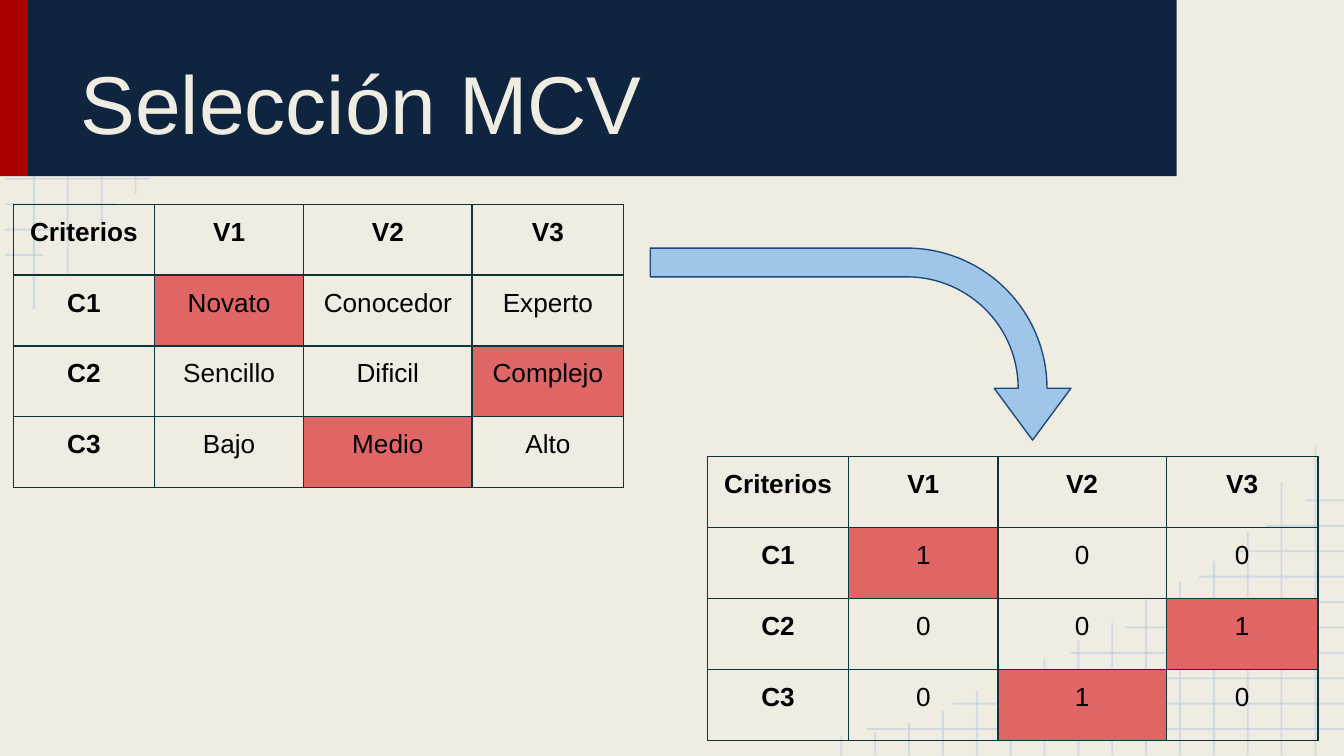
from lxml import etree
from pptx import Presentation
from pptx import util as u
from pptx.dml.color import RGBColor
from pptx.enum import shapes, text
from pptx.oxml import ns

COLORS = {
    "paper": "EFEDE2", "navy": "0F243E", "red": "AB0101", "grid": "B7CCE4",
    "border": "0C343D", "chosen": "E06666", "ink": "000000",
    "arrow": "9FC5E8", "arrow_edge": "1F497D",
}


class SlideBuilder:
    font = "Arial"
    inset = u.Cm(0.25)

    def __init__(self, slide):
        self.slide = slide
        slide.background.fill.solid()
        slide.background.fill.fore_color.rgb = self.color("paper")

    def color(self, name):
        return RGBColor.from_string(COLORS[name])

    def add_text(self, frame, wording, size, color, bold=False, align=text.PP_ALIGN.LEFT):
        paragraph = frame.paragraphs[0]
        paragraph.alignment = align
        run = paragraph.add_run()
        run.text = wording
        run.font.name = self.font
        run.font.size = u.Pt(size)
        run.font.bold = bold
        run.font.color.rgb = self.color(color)

    def pad(self, box):
        box.margin_left = box.margin_right = self.inset
        box.margin_top = box.margin_bottom = self.inset

    def title(self, wording, *box):
        heading = self.slide.shapes.title
        heading.left, heading.top, heading.width, heading.height = map(u.Cm, box)
        frame = heading.text_frame
        frame.word_wrap = True
        frame.auto_size = text.MSO_AUTO_SIZE.NONE
        frame.vertical_anchor = text.MSO_ANCHOR.BOTTOM
        self.pad(frame)
        self.add_text(frame, wording, 44, "paper")
        heading.element.getparent().append(heading.element)

    def shape(self, kind, box, fill, edge=None, adjustments=(), rotation=0):
        figure = self.slide.shapes.add_shape(kind, *map(u.Cm, box))
        figure.shadow.inherit = False
        figure.rotation = rotation
        figure.fill.solid()
        figure.fill.fore_color.rgb = self.color(fill)
        if edge:
            figure.line.color.rgb = self.color(edge)
            figure.line.width = u.Pt(0.75)
        else:
            figure.line.fill.background()
        for index, value in enumerate(adjustments):
            figure.adjustments[index] = value

    def grid_line(self, *ends):
        line = self.slide.shapes.add_connector(
            shapes.MSO_CONNECTOR.STRAIGHT, *map(u.Cm, ends))
        line.line.color.rgb = self.color("grid")
        line.line.width = u.Pt(1)
        properties = line.element.spPr
        tint = properties.find(".//" + ns.qn("a:srgbClr"))
        etree.SubElement(tint, ns.qn("a:alpha"), val="54000")
        etree.SubElement(properties, ns.qn("a:effectLst"))

    def border(self, cell):
        properties = cell._tc.get_or_add_tcPr()
        for side in ("lnL", "lnR", "lnT", "lnB"):
            edge = etree.SubElement(properties, ns.qn("a:" + side), w=str(u.Pt(0.75)))
            fill = etree.SubElement(edge, ns.qn("a:solidFill"))
            etree.SubElement(fill, ns.qn("a:srgbClr"), val=COLORS["border"])

    def table(self, left, top, rows, chosen):
        widths, row_height = (2.67, 2.82, 3.18, 2.87), 1.34
        table = self.slide.shapes.add_table(
            len(rows), len(widths), u.Cm(left), u.Cm(top),
            u.Cm(sum(widths)), u.Cm(row_height * len(rows))).table
        table.first_row = table.horz_banding = False
        for column, width in zip(table.columns, widths):
            column.width = u.Cm(width)
        for r, row in enumerate(rows):
            table.rows[r].height = u.Cm(row_height)
            for c, wording in enumerate(row):
                cell = table.cell(r, c)
                self.pad(cell)
                self.border(cell)
                if (r, c) in chosen:
                    cell.fill.solid()
                    cell.fill.fore_color.rgb = self.color("chosen")
                else:
                    cell.fill.background()
                self.add_text(cell.text_frame, wording, 14, "ink",
                              r == 0 or c == 0, text.PP_ALIGN.CENTER)


deck = Presentation()
deck.slide_width, deck.slide_height = u.Cm(25.4), u.Cm(14.29)
page = SlideBuilder(deck.slides.add_slide(deck.slide_layouts[5]))

row_ends = (9.12, 7.49, 6.12, 5.26, 4.24, 3.48, 2.84, 2.16, 1.57, 0.81)
column_ends = (5.84, 5.16, 4.22, 3.68, 3.28, 2.95, 2.51, 2.18,
               1.83, 1.57, 1.22, 0.84, 0.61, 0.43, 0.36)
corner_grid = [(0.1, 0.5 + 0.48 * i, end, 0.5 + 0.48 * i)
               for i, end in enumerate(row_ends)]
corner_grid += [(0.64 * i, end, 0.64 * i, 0)
                for i, end in enumerate(column_ends, 1)]
for x1, y1, x2, y2 in corner_grid:
    page.grid_line(x1, y1, x2, y2)
for x1, y1, x2, y2 in corner_grid:
    page.grid_line(25.5 - x1, 14.28 - y1, 25.5 - x2, 14.28 - y2)

for left, width, fill in ((0, 0.53, "red"), (0.53, 21.71, "navy")):
    page.shape(shapes.MSO_SHAPE.RECTANGLE, (left, -0.02, width, 3.35), fill)
page.title("Selección MCV", 1.27, 0.28, 20.32, 2.82)

header = ("Criterios", "V1", "V2", "V3")
chosen_values = {(1, 1), (2, 3), (3, 2)}
criteria = [
    header,
    ("C1", "Novato", "Conocedor", "Experto"),
    ("C2", "Sencillo", "Dificil", "Complejo"),
    ("C3", "Bajo", "Medio", "Alto"),
]
encoded = [header] + [
    (f"C{r}", *(str(int((r, c) in chosen_values)) for c in range(1, 4)))
    for r in range(1, 4)
]
page.table(0.25, 3.86, criteria, chosen_values)
page.table(13.37, 8.63, encoded, chosen_values)
page.shape(shapes.MSO_SHAPE.BENT_ARROW, (14.45, 2.53, 3.63, 7.95), "arrow",
           "arrow_edge", (0.15, 0.2, 0.27, 0.73), 90)

deck.save("out.pptx")
